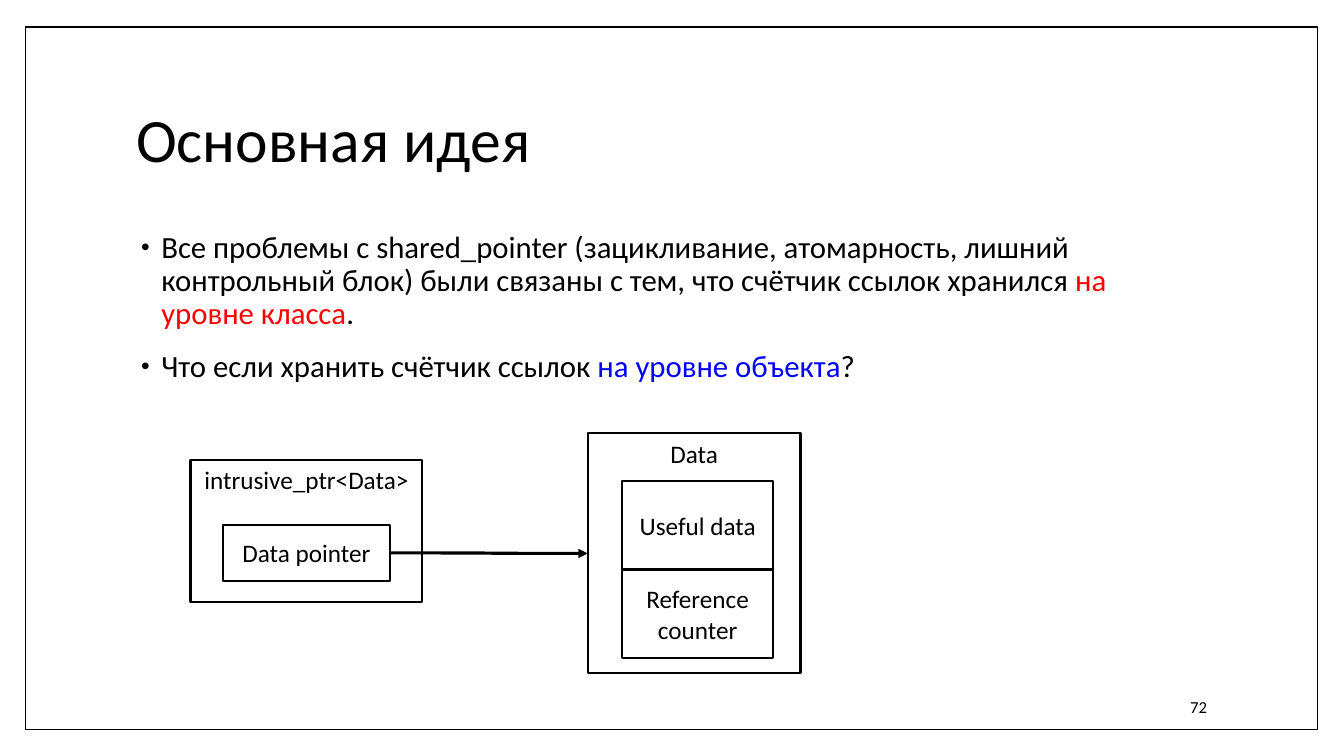
import pptx
import pptx.dml.color
import pptx.enum.shapes
import pptx.enum.text
import pptx.oxml
import pptx.oxml.ns
import pptx.util
from pptx.util import Inches

BLACK = pptx.dml.color.RGBColor(0x00, 0x00, 0x00)
WHITE = pptx.dml.color.RGBColor(0xFF, 0xFF, 0xFF)
RED = pptx.dml.color.RGBColor(0xFF, 0x00, 0x00)
BLUE = pptx.dml.color.RGBColor(0x00, 0x00, 0xFF)
FONT = "Calibri"
ALIGN = pptx.enum.text.PP_ALIGN
ANCHOR = pptx.enum.text.MSO_ANCHOR

POINTS = [
    [("Все проблемы с shared_pointer (зацикливание, атомарность, лишний "
      "контрольный блок) были связаны с тем, что счётчик ссылок хранился ", BLACK),
     ("на уровне класса", RED), (".", BLACK)],
    [("Что если хранить счётчик ссылок ", BLACK),
     ("на уровне объекта", BLUE), ("?", BLACK)],
]


def add_xml(parent, tag, **attributes):
    element = pptx.oxml.parse_xml(f"<a:{tag} {pptx.oxml.ns.nsdecls('a')}/>")
    for name, value in attributes.items():
        element.set(name, value)
    parent.append(element)
    return element


def style_paragraph(paragraph, size, alignment):
    paragraph.alignment = alignment
    paragraph.font.name = FONT
    paragraph.font.size = pptx.util.Pt(size)
    paragraph.font.color.rgb = BLACK


def place(shape, left, top, width, height):
    shape.left, shape.top = Inches(left), Inches(top)
    shape.width, shape.height = Inches(width), Inches(height)


def add_box(slide, left, top, width, height, text="", fill=None,
            anchor=ANCHOR.MIDDLE, line_width=1.5):
    box = slide.shapes.add_shape(
        pptx.enum.shapes.MSO_SHAPE.RECTANGLE,
        Inches(left), Inches(top), Inches(width), Inches(height))
    box.shadow.inherit = False
    if fill is None:
        box.fill.background()
    else:
        box.fill.solid()
        box.fill.fore_color.rgb = fill
    box.line.color.rgb = BLACK
    box.line.width = pptx.util.Pt(line_width)
    if text:
        box.text_frame.word_wrap = True
        box.text_frame.vertical_anchor = anchor
        box.text_frame.text = text
        style_paragraph(box.text_frame.paragraphs[0], 18, ALIGN.CENTER)
    return box


def add_title(slide, left, top, width, height):
    title = slide.shapes.title
    place(title, left, top, width, height)
    title.text_frame.text = "Основная идея"
    title.text_frame.vertical_anchor = ANCHOR.MIDDLE
    paragraph = title.text_frame.paragraphs[0]
    paragraph.line_spacing = 0.9
    style_paragraph(paragraph, 44, ALIGN.LEFT)


def add_points(slide, left, top, width, height):
    body = slide.placeholders[1]
    place(body, left, top, width, height)
    frame = body.text_frame
    frame.auto_size = pptx.enum.text.MSO_AUTO_SIZE.NONE
    for index, parts in enumerate(POINTS):
        paragraph = frame.add_paragraph() if index else frame.paragraphs[0]
        paragraph.line_spacing = 0.9
        paragraph.space_before = pptx.util.Pt(14 if index else 0)
        properties = paragraph._p.get_or_add_pPr()
        properties.set("marL", str(Inches(0.25)))
        properties.set("indent", str(Inches(-0.2)))
        add_xml(add_xml(properties, "buClr"), "srgbClr", val=str(BLACK))
        add_xml(properties, "buSzPct", val="80000")
        add_xml(properties, "buFont", typeface="Arial")
        add_xml(properties, "buChar", char="•")
        style_paragraph(paragraph, 22, ALIGN.LEFT)
        for text, color in parts:
            run = paragraph.add_run()
            run.text = text
            run.font.color.rgb = color


def add_pointer(slide, left, top):
    """Draws the smart pointer and returns its inner box."""
    add_box(slide, left, top, 2.3, 1.41, "intrusive_ptr<Data>", anchor=ANCHOR.TOP)
    return add_box(slide, left + 0.32, top + 0.65, 1.66, 0.55, "Data pointer", WHITE)


def add_data(slide, left, top):
    """Draws the data object with its two fields and returns its outer box."""
    outer = add_box(slide, left, top, 2.11, 2.38, "Data", anchor=ANCHOR.TOP)
    field_height = 0.88
    for index, text in enumerate(["Useful data", "Reference counter"]):
        add_box(slide, left + 0.34, top + 0.47 + index * field_height,
                1.5, field_height, text, WHITE)
    return outer


def add_arrow(slide, source, target):
    arrow = slide.shapes.add_connector(
        pptx.enum.shapes.MSO_CONNECTOR.CURVE, 0, 0, 0, 0)
    arrow.begin_connect(source, 3)
    arrow.end_connect(target, 1)
    arrow.line.color.rgb = BLACK
    arrow.line.width = pptx.util.Pt(2.25)
    add_xml(arrow.line._get_or_add_ln(), "tailEnd", type="triangle")
    add_xml(arrow._element.spPr, "effectLst")


def add_page_number(slide, left, top, width, height):
    number = slide.shapes.add_textbox(
        Inches(left), Inches(top), Inches(width), Inches(height))
    number.text_frame.word_wrap = True
    number.text_frame.vertical_anchor = ANCHOR.MIDDLE
    number.text_frame.text = "72"
    style_paragraph(number.text_frame.paragraphs[0], 12, ALIGN.RIGHT)


def build_slide(presentation):
    slide = presentation.slides.add_slide(presentation.slide_layouts[1])
    # Page frame, behind everything else
    frame = add_box(slide, 0.25, 0.27, 12.82, 6.97, fill=WHITE, line_width=1)
    slide.shapes.title._element.addprevious(frame._element)
    # Title, list and page number
    add_title(slide, 1.25, 0.67, 10.8, 1.48)
    add_points(slide, 1.25, 2.25, 10.8, 4.42)
    add_page_number(slide, 10.2, 6.81, 1.87, 0.4)
    # Diagram
    data = add_data(slide, 5.83, 4.3)
    pointer = add_pointer(slide, 1.89, 4.56)
    add_arrow(slide, pointer, data)


def main():
    presentation = pptx.Presentation()
    presentation.slide_width = Inches(13.33)
    presentation.slide_height = Inches(7.5)
    build_slide(presentation)
    presentation.save("out.pptx")


if __name__ == "__main__":
    main()
